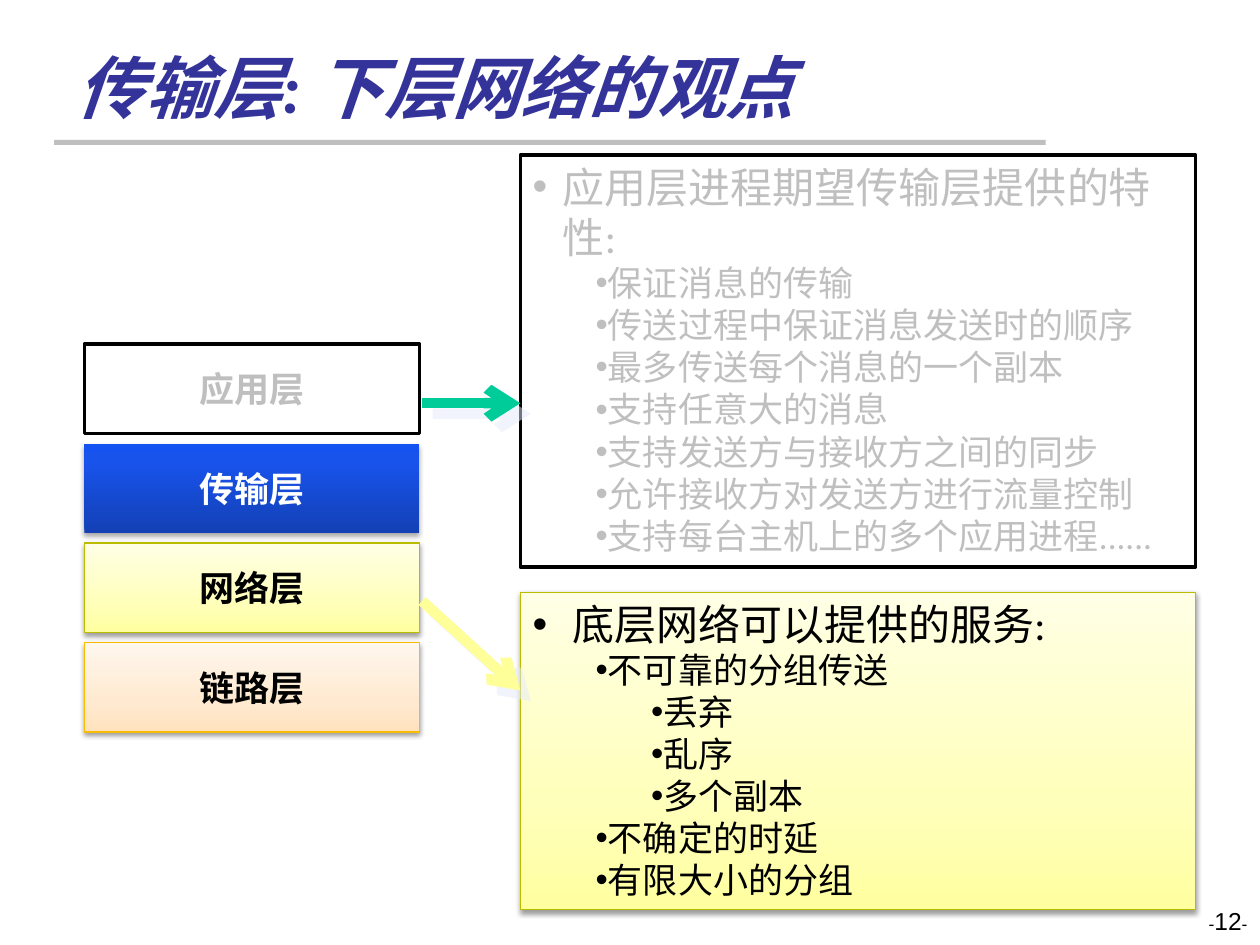
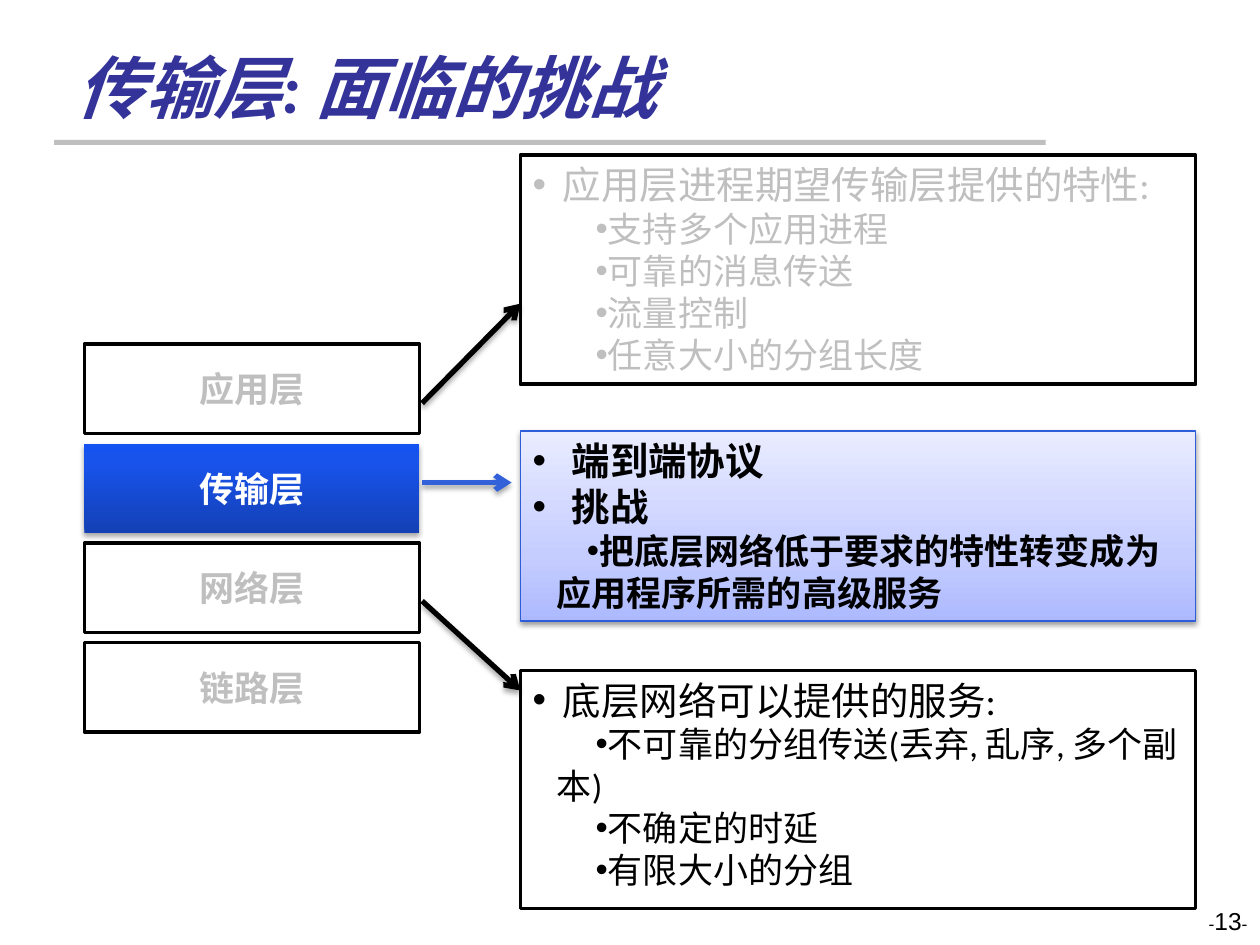
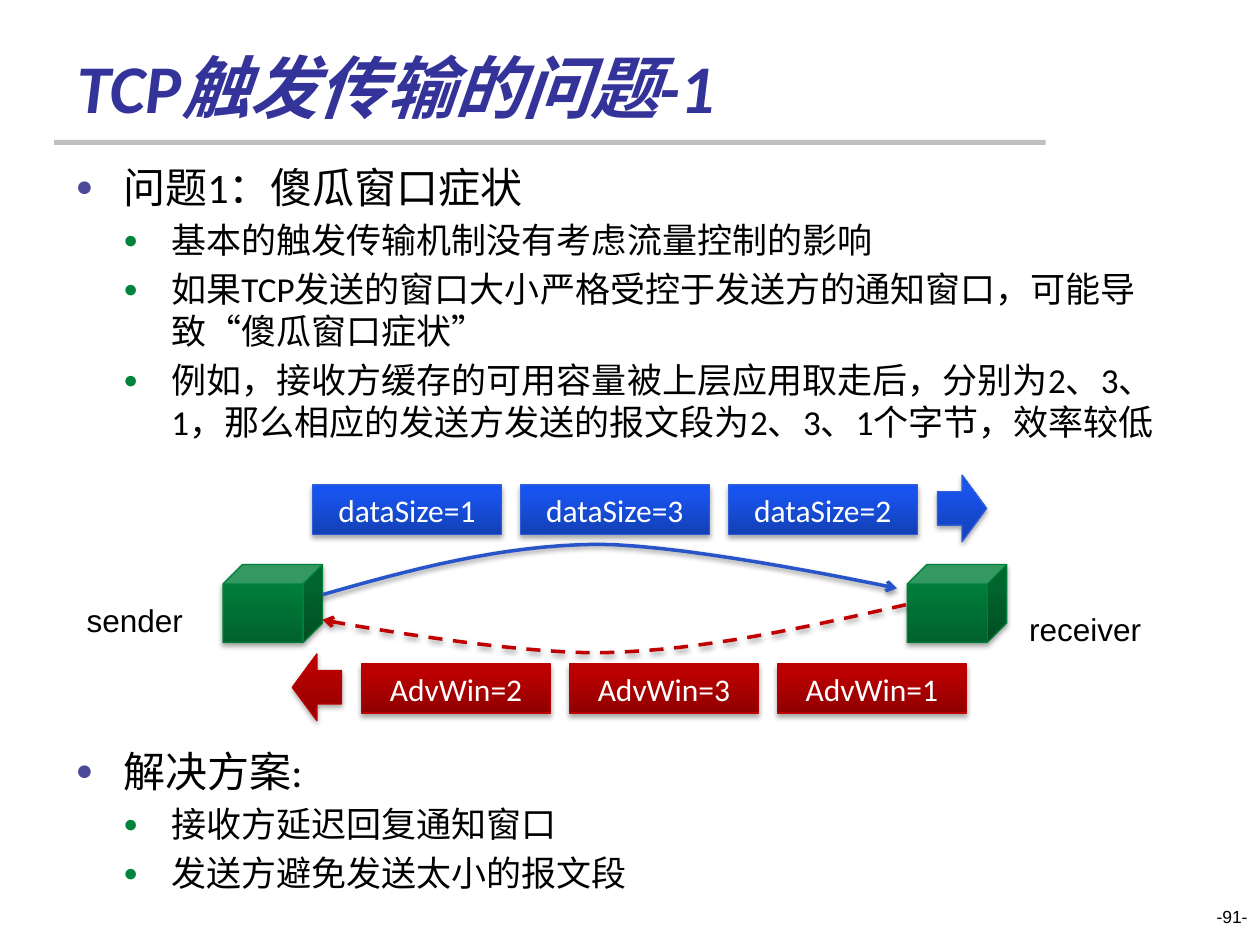
"""Build three slides about transport-layer services and the TCP silly window."""
from dataclasses import dataclass

from pptx import Presentation
from pptx.dml.color import RGBColor
from pptx.enum.dml import MSO_LINE
from pptx.enum.lang import MSO_LANGUAGE_ID
from pptx.enum.shapes import MSO_CONNECTOR, MSO_SHAPE
from pptx.enum.text import MSO_ANCHOR, MSO_AUTO_SIZE, PP_ALIGN
from pptx.oxml import parse_xml
from pptx.oxml.ns import nsdecls, qn
from pptx.oxml.xmlchemy import OxmlElement
from pptx.util import Inches, Pt

RECT, CUBE = MSO_SHAPE.RECTANGLE, MSO_SHAPE.CUBE
LEFT_ARROW, RIGHT_ARROW = MSO_SHAPE.LEFT_ARROW, MSO_SHAPE.RIGHT_ARROW
STRAIGHT, DASH = MSO_CONNECTOR.STRAIGHT, MSO_LINE.DASH
TOP, MIDDLE, BOTTOM = MSO_ANCHOR.TOP, MSO_ANCHOR.MIDDLE, MSO_ANCHOR.BOTTOM
LEFT, CENTER, RIGHT = PP_ALIGN.LEFT, PP_ALIGN.CENTER, PP_ALIGN.RIGHT
FIXED = MSO_AUTO_SIZE.NONE
CHINESE = MSO_LANGUAGE_ID.SIMPLIFIED_CHINESE
TITLE_AND_BODY, TITLE_ONLY = 1, 5


@dataclass(frozen=True)
class Shadow:
    """Outer shadow: colour, opacity in percent, blur, distance and direction."""
    color: str
    opacity: int
    blur: float
    distance: float
    angle: int


SOFT = Shadow("000000", 38, 3.1, 1.6, 90)
FIRM = Shadow("000000", 35, 3.1, 1.8, 90)
PALE = Shadow("E5EBFA", 50, 0, 8.5, 45)


@dataclass(frozen=True)
class Look:
    """Fill, outline, text colour and shadow of a shape."""
    fill: object
    line: str = None
    width: float = 0.75
    ink: str = "000000"
    shadow: Shadow = None


def ramp(bottom, middle, top, stop):
    """Return the stops of a gradient that runs upwards."""
    return (0, bottom), (stop, middle), (100, top)


BLUE_RAMP = ramp("1340B5", "1853EC", "1452F1", 80)


@dataclass(frozen=True)
class Theme:
    """Fonts, type sizes, colours and shape looks of the deck."""
    font: str = "Calibri"
    plain_font: str = "Arial"
    title_size: int = 39
    head_size: int = 24
    small_head_size: int = 22
    text_size: int = 20
    label_size: int = 18
    page_size: int = 14
    dash_size: int = 10
    ink: str = "000000"
    title: str = "333399"
    rule: str = "BFBFBF"
    head_bullet: str = "4A4A97"
    sub_bullet: str = "00843C"
    green_arrow: str = "00CC99"
    yellow_arrow: str = "FFFF99"
    blue_arrow: str = "3261DA"
    data_curve: str = "2755C9"
    window_curve: str = "C00000"
    faded: Look = Look("FFFFFF", "000000", 2, "BFBFBF")
    outlined: Look = Look("FFFFFF", "000000", 2)
    yellow: Look = Look(ramp("FFFFA0", "FFFFBC", "FFFFE5", 35), "BBBB00", shadow=SOFT)
    orange: Look = Look(ramp("FFE2BD", "FFEAD1", "FFF7EE", 35), "F9BC00", shadow=SOFT)
    lavender: Look = Look(ramp("ADB9FF", "C5CDFF", "E9ECFF", 35), "2D5DD9", shadow=SOFT)
    active: Look = Look(BLUE_RAMP, ink="FFFFFF", shadow=FIRM)
    data: Look = Look(BLUE_RAMP, "2D5DD9", ink="FFFFFF", shadow=FIRM)
    window: Look = Look(ramp("8F0000", "BA0000", "BB0000", 80), "BC0000",
                        ink="FFFFFF", shadow=FIRM)
    host: Look = Look(ramp("00622D", "00803A", "00803A", 80), "00813B", shadow=FIRM)


THEME = Theme()


def write(para, text, *, size=THEME.text_size, color=THEME.ink, font=THEME.font,
          bold=False, italic=False):
    """Add a formatted span to a paragraph."""
    span = para.add_run()
    span.text = text
    span.font.name = font
    span.font.size = Pt(size)
    span.font.bold = bold
    span.font.italic = italic
    span.font.color.rgb = RGBColor.from_string(color)
    span.font.language_id = CHINESE


def add_child(parent, tag, **attributes):
    """Append an XML element with the given attributes."""
    child = OxmlElement(tag)
    for name, value in attributes.items():
        child.set(name, str(value))
    parent.append(child)
    return child


def set_bullet(para, mark, margin, indent, color=None, scale=100):
    """Give a paragraph its bullet and indents."""
    properties = para._p.get_or_add_pPr()
    properties.set("marL", str(Inches(margin)))
    properties.set("indent", str(Inches(indent)))
    if color:
        add_child(add_child(properties, "a:buClr"), "a:srgbClr", val=color)
    add_child(properties, "a:buSzPct", val=scale * 1000)
    add_child(properties, "a:buFont", typeface=THEME.plain_font)
    add_child(properties, "a:buChar", char=mark)


def set_shadow(shape, shadow):
    """Replace the inherited shadow of a shape or connector."""
    properties = shape._element.spPr
    effects = properties.find(qn("a:effectLst"))
    if effects is None:
        effects = add_child(properties, "a:effectLst")
    if shadow:
        outer = add_child(effects, "a:outerShdw", blurRad=Pt(shadow.blur),
                          dist=Pt(shadow.distance), dir=shadow.angle * 60000,
                          rotWithShape=0)
        color = add_child(outer, "a:srgbClr", val=shadow.color)
        add_child(color, "a:alpha", val=shadow.opacity * 1000)


def set_gradient(shape, stops):
    """Fill a shape with a gradient that runs from bottom to top."""
    shape.fill.solid()
    gradient = parse_xml(f'<a:gradFill {nsdecls("a")} rotWithShape="1"/>')
    stop_list = add_child(gradient, "a:gsLst")
    for position, color in stops:
        stop = add_child(stop_list, "a:gs", pos=position * 1000)
        add_child(stop, "a:srgbClr", val=color)
    add_child(gradient, "a:lin", ang=270 * 60000, scaled=0)
    properties = shape._element.spPr
    properties.replace(properties.find(qn("a:solidFill")), gradient)


def set_arrow_line(shape, color, width):
    """Format a line and put an arrowhead at its end."""
    shape.line.color.rgb = RGBColor.from_string(color)
    shape.line.width = Pt(width)
    add_child(shape.line._get_or_add_ln(), "a:tailEnd", type="arrow")


def trace_curve(points, steps=16):
    """Return points along a chain of cubic Bezier segments."""
    traced = [points[0]]
    for first in range(0, len(points) - 1, 3):
        controls = points[first:first + 4]
        for step in range(1, steps + 1):
            t = step / steps
            weights = ((1 - t) ** 3, 3 * t * (1 - t) ** 2, 3 * t * t * (1 - t), t ** 3)
            traced.append(tuple(sum(weight * point[axis] for weight, point
                                    in zip(weights, controls)) for axis in (0, 1)))
    return [(Inches(x), Inches(y)) for x, y in traced]


class Painter:
    """Holds the theme, the deck and the current page."""

    def __init__(self, theme):
        """Start an empty deck."""
        self.theme = theme
        self.deck = Presentation()
        self.deck.slide_width, self.deck.slide_height = Inches(10), Inches(7.5)
        self.page = None

    def start_page(self, title, number, layout=TITLE_ONLY, number_size=THEME.page_size):
        """Add a page with its title, rule and page number."""
        self.page = self.deck.slides.add_slide(self.deck.slide_layouts[layout])
        self.shape(RECT, (0.43, 1.11, 7.87, 0.04), Look(self.theme.rule))
        frame = self.place(self.page.shapes.title, (0.51, 0.28, 8.25, 0.78), BOTTOM)
        frame.paragraphs[0].alignment = LEFT
        write(frame.paragraphs[0], title, size=self.theme.title_size,
              color=self.theme.title, bold=True, italic=True)
        para = self.text_box((7.67, 7.14, 2.33, 0.5)).paragraphs[0]
        para.alignment = RIGHT
        small = self.theme.dash_size
        for text, size in (("-", small), (number, number_size), ("-", small)):
            write(para, text, size=size, font=self.theme.plain_font)

    def place(self, box, area, anchor=TOP):
        """Position a box and return its prepared text frame."""
        box.left, box.top, box.width, box.height = map(Inches, area)
        frame = box.text_frame
        frame.auto_size = FIXED
        frame.word_wrap = True
        frame.vertical_anchor = anchor
        return frame

    def text_box(self, area):
        """Add a text box and return its text frame."""
        return self.place(self.page.shapes.add_textbox(*map(Inches, area)), area)

    def label(self, text, area):
        """Add a one-line label."""
        frame = self.text_box(area)
        frame.word_wrap = False
        write(frame.paragraphs[0], text, size=self.theme.label_size,
              font=self.theme.plain_font)

    def shape(self, kind, area, look):
        """Add a preset shape with a look."""
        shape = self.page.shapes.add_shape(kind, *map(Inches, area))
        if isinstance(look.fill, str):
            shape.fill.solid()
            shape.fill.fore_color.rgb = RGBColor.from_string(look.fill)
        else:
            set_gradient(shape, look.fill)
        if look.line:
            shape.line.color.rgb = RGBColor.from_string(look.line)
            shape.line.width = Pt(look.width)
        else:
            shape.line.fill.background()
        shape.shadow.inherit = False
        set_shadow(shape, look.shadow)
        return shape

    def block(self, text, area, look, size, bold=False):
        """Add a rectangle with one centred line."""
        frame = self.place(self.shape(RECT, area, look), area, MIDDLE)
        frame.paragraphs[0].alignment = CENTER
        write(frame.paragraphs[0], text, size=size, color=look.ink, bold=bold)

    def layers(self, looks):
        """Add the stack of network layers."""
        names = ("应用层", "传输层", "网络层", "链路层")
        for row, (name, look) in enumerate(zip(names, looks)):
            self.block(name, (0.67, 2.73 + 0.79 * row, 2.66, 0.71), look,
                       self.theme.text_size, bold=True)

    def panel(self, top, height, look, items, head_size, bold=False, sub_indent=0.31):
        """Add a box with a bulleted list of (level, text) items."""
        area = (4.13, top, 5.36, height)
        frame = self.place(self.shape(RECT, area, look), area)
        indents = ((0.24, -0.24), (0.19, sub_indent), (0.69, 0.25))
        for index, (level, text) in enumerate(items):
            para = frame.add_paragraph() if index else frame.paragraphs[0]
            para.level = level
            para.alignment = LEFT
            set_bullet(para, "•", *indents[level])
            write(para, text, size=self.theme.text_size if level else head_size,
                  color=look.ink, bold=bold)

    def body(self, items):
        """Fill the body placeholder with (level, text, space before) items."""
        frame = self.place(self.page.placeholders[1], (0.5, 1.23, 9, 5.83))
        sizes = (self.theme.head_size, self.theme.text_size)
        colors = (self.theme.head_bullet, self.theme.sub_bullet)
        for index, (level, text, space) in enumerate(items):
            para = frame.add_paragraph() if index else frame.paragraphs[0]
            para.level = level
            para.space_before = Pt(space)
            set_bullet(para, "●", 0.38 * (level + 1), -0.38, colors[level], 70)
            write(para, text, size=sizes[level])

    def arrow(self, start, end, color, width=3, shadow=FIRM):
        """Add a straight arrow."""
        line = self.page.shapes.add_connector(STRAIGHT, *map(Inches, start + end))
        set_arrow_line(line, color, width)
        set_shadow(line, shadow)

    def curve(self, points, color, dash=None):
        """Add a curved arrow through Bezier control points."""
        first, *rest = trace_curve(points)
        builder = self.page.shapes.build_freeform(*first)
        builder.add_line_segments(rest, close=False)
        shape = builder.convert_to_shape()
        shape.fill.background()
        if dash:
            shape.line.dash_style = dash
        set_arrow_line(shape, color, 2)
        shape.shadow.inherit = False
        set_shadow(shape, SOFT)

    def segments(self, texts, left, top, look):
        """Add a row of segment blocks."""
        for column, text in enumerate(texts):
            self.block(text, (left + 1.65 * column, top, 1.5, 0.39), look,
                       self.theme.label_size)


def build_network_view(painter):
    """Build the page on what the layers below offer."""
    theme = painter.theme
    painter.start_page("传输层: 下层网络的观点", "12")
    painter.layers((theme.faded, theme.active, theme.yellow, theme.orange))
    painter.panel(4.7, 2.52, theme.yellow, (
        (0, " 底层网络可以提供的服务:"),
        (1, "不可靠的分组传送"),
        (2, "丢弃"),
        (2, "乱序"),
        (2, "多个副本"),
        (1, "不确定的时延"),
        (1, "有限大小的分组"),
    ), theme.head_size)
    painter.arrow((3.35, 4.77), (4.13, 5.48), theme.yellow_arrow, 6, PALE)
    painter.panel(1.23, 3.27, theme.faded, (
        (0, "应用层进程期望传输层提供的特性:"),
        (1, "保证消息的传输"),
        (1, "传送过程中保证消息发送时的顺序"),
        (1, "最多传送每个消息的一个副本"),
        (1, "支持任意大的消息"),
        (1, "支持发送方与接收方之间的同步"),
        (1, "允许接收方对发送方进行流量控制"),
        (1, "支持每台主机上的多个应用进程......"),
    ), theme.head_size)
    painter.arrow((3.35, 3.2), (4.13, 3.2), theme.green_arrow, 6, PALE)


def build_challenges(painter):
    """Build the page on the challenges of the transport layer."""
    theme = painter.theme
    painter.start_page("传输层: 面临的挑战", "13")
    painter.layers((theme.faded, theme.active, theme.faded, theme.faded))
    painter.panel(5.32, 1.89, theme.outlined, (
        (0, "底层网络可以提供的服务:"),
        (1, "不可靠的分组传送(丢弃, 乱序, 多个副本)"),
        (1, "不确定的时延"),
        (1, "有限大小的分组"),
    ), theme.small_head_size)
    painter.panel(1.23, 1.82, theme.faded, (
        (0, "应用层进程期望传输层提供的特性:"),
        (1, "支持多个应用进程"),
        (1, "可靠的消息传送"),
        (1, "流量控制"),
        (1, "任意大小的分组长度"),
    ), theme.small_head_size)
    painter.arrow((3.35, 3.2), (4.13, 2.41), theme.ink)
    painter.arrow((3.35, 4.77), (4.13, 5.48), theme.ink)
    painter.panel(3.42, 1.51, theme.lavender, (
        (0, " 端到端协议"),
        (0, " 挑战"),
        (1, "把底层网络低于要求的特性转变成为应用程序所需的高级服务"),
    ), theme.small_head_size, bold=True, sub_indent=0.24)
    painter.arrow((3.35, 3.83), (4.06, 3.83), theme.blue_arrow)


def build_silly_window(painter):
    """Build the page on the silly window syndrome."""
    theme = painter.theme
    painter.start_page("TCP触发传输的问题-1", "91", TITLE_AND_BODY, theme.dash_size)
    painter.body((
        (0, "问题1：傻瓜窗口症状", 4.8),
        (1, "基本的触发传输机制没有考虑流量控制的影响", 4),
        (1, "如果TCP发送的窗口大小严格受控于发送方的通知窗口，可能导致“傻瓜窗口症状”", 4),
        (1, "例如，接收方缓存的可用容量被上层应用取走后，分别为2、3、1，"
            "那么相应的发送方发送的报文段为2、3、1个字节，效率较低", 4),
        (0, "解决方案:", 173),
        (1, "接收方延迟回复通知窗口", 4),
        (1, "发送方避免发送太小的报文段", 4),
    ))
    for left in (1.77, 7.2):
        painter.shape(CUBE, (left, 4.48, 0.79, 0.62), theme.host)
    painter.label("sender", (0.59, 4.72, 0.97, 0.4))
    painter.label("receiver", (8.07, 4.79, 1.1, 0.4))
    painter.curve(((2.56, 4.72), (3.26, 4.52), (3.97, 4.33), (4.73, 4.32),
                   (5.49, 4.32), (7.12, 4.67), (7.12, 4.67)), theme.data_curve)
    painter.curve(((7.19, 4.8), (6.39, 4.98), (5.59, 5.16), (4.81, 5.18),
                   (4.04, 5.2), (2.56, 4.92), (2.56, 4.92)), theme.window_curve, DASH)
    painter.segments(("AdvWin=2", "AdvWin=3", "AdvWin=1"), 2.87, 5.27, theme.window)
    painter.shape(LEFT_ARROW, (2.32, 5.19, 0.39, 0.53), theme.window)
    painter.segments(("dataSize=1", "dataSize=3", "dataSize=2"), 2.48, 3.85, theme.data)
    painter.shape(RIGHT_ARROW, (7.44, 3.77, 0.39, 0.53), theme.data)


def main():
    """Build and save the deck."""
    painter = Painter(THEME)
    build_network_view(painter)
    build_challenges(painter)
    build_silly_window(painter)
    painter.deck.save("out.pptx")


if __name__ == "__main__":
    main()
